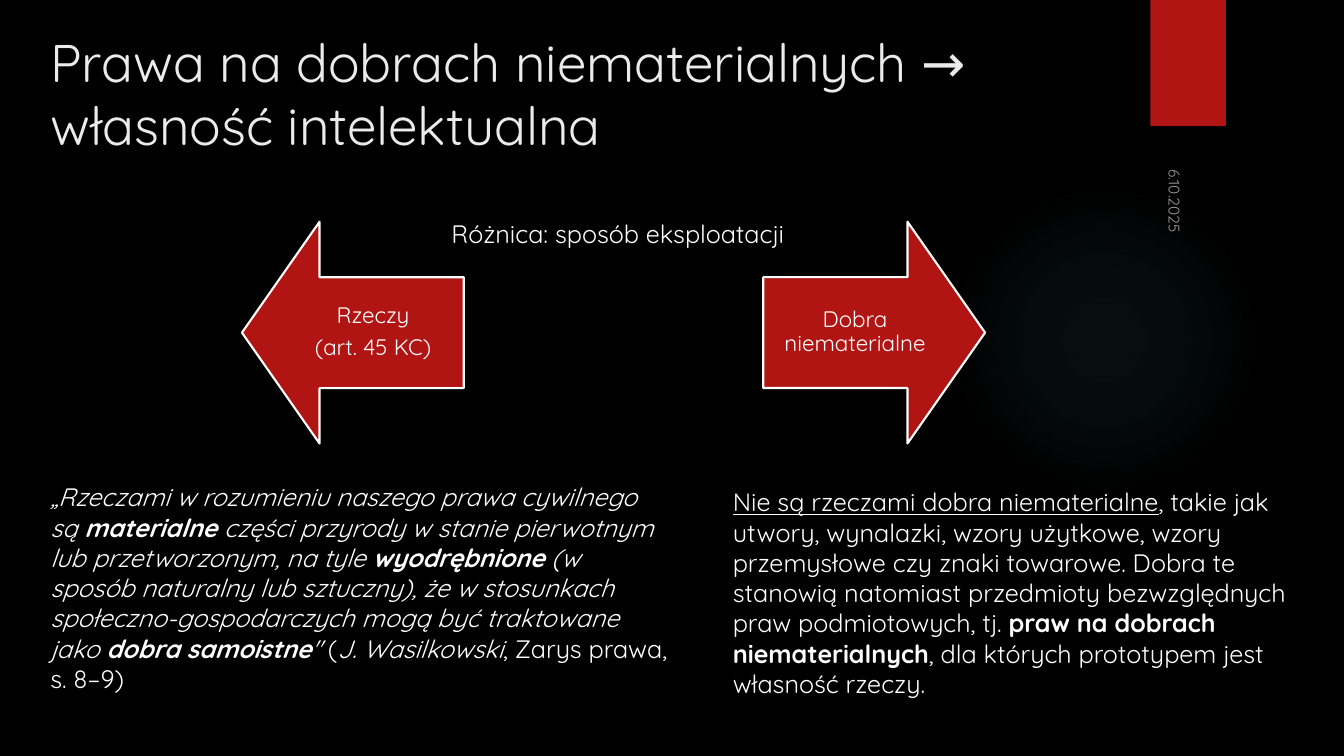
from dataclasses import dataclass

from lxml import etree
from pptx import Presentation
from pptx.dml.color import RGBColor
from pptx.enum.shapes import MSO_SHAPE
from pptx.enum.text import MSO_ANCHOR, MSO_AUTO_SIZE, PP_ALIGN
from pptx.oxml import parse_xml
from pptx.oxml.ns import nsdecls, qn
from pptx.util import Inches, Pt

UP_ARROW, OVAL, RECTANGLE = MSO_SHAPE.UP_ARROW, MSO_SHAPE.OVAL, MSO_SHAPE.RECTANGLE
TOP, MIDDLE, BOTTOM = MSO_ANCHOR.TOP, MSO_ANCHOR.MIDDLE, MSO_ANCHOR.BOTTOM
LEFT, CENTER = PP_ALIGN.LEFT, PP_ALIGN.CENTER
GROW, FIXED = MSO_AUTO_SIZE.SHAPE_TO_FIT_TEXT, MSO_AUTO_SIZE.NONE


@dataclass(frozen=True)
class Theme:
    font: str = "Quicksand"
    background: str = "000000"
    title: str = "EBEBEB"
    text: str = "FFFFFF"
    accent: str = "B01513"
    glow: str = "50B9C1"
    title_size: float = 37.8
    body_size: float = 18
    arrow_size: float = 16
    date_size: float = 11
    date_opacity: int = 60


THEME = Theme()

# Each run is (text, styles): b bold, i italic, u underlined
THINGS = [
    ("„Rzeczami w rozumieniu naszego prawa cywilnego są ", "i"),
    ("materialne", "bi"),
    (" części przyrody w stanie pierwotnym lub przetworzonym, na tyle ", "i"),
    ("wyodrębnione", "bi"),
    (" (w sposób naturalny lub sztuczny), że w stosunkach "
     "społeczno-gospodarczych mogą być traktowane jako ", "i"),
    ("dobra samoistne", "bi"),
    ("\" ", "i"),
    ("(", ""),
    ("J. Wasilkowski", "i"),
    (", Zarys prawa, s. 8–9)", ""),
]
INTANGIBLES = [
    ("Nie są rzeczami dobra niematerialne", "u"),
    (", takie jak utwory, wynalazki, wzory użytkowe, wzory przemysłowe czy znaki "
     "towarowe. Dobra te stanowią natomiast przedmioty bezwzględnych praw "
     "podmiotowych, tj. ", ""),
    ("praw na dobrach niematerialnych", "b"),
    (", dla których prototypem jest własność rzeczy.", ""),
]


def rgb(color):
    return RGBColor.from_string(color)


def add_run(paragraph, text, size, color, styles=""):
    run = paragraph.add_run()
    run.text = text
    font = run.font
    font.name, font.size = THEME.font, Pt(size)
    font.color.rgb = rgb(color)
    for mark, attribute in (("b", "bold"), ("i", "italic"), ("u", "underline")):
        if mark in styles:
            setattr(font, attribute, True)
    return run


def add_text(slide, box, paragraphs, size, anchor=TOP, align=LEFT, inset=None,
             line_spacing=None, space_after=None, auto_size=GROW):
    """Add a text box; each paragraph is a list of (text, styles) runs."""
    text_box = slide.shapes.add_textbox(*map(Inches, box))
    frame = text_box.text_frame
    frame.word_wrap = True
    frame.auto_size = auto_size
    frame.vertical_anchor = anchor
    if inset is not None:
        frame.margin_left = frame.margin_right = Inches(inset)
        frame.margin_top = frame.margin_bottom = Inches(inset)
    for index, runs in enumerate(paragraphs):
        paragraph = frame.add_paragraph() if index else frame.paragraphs[0]
        paragraph.alignment = align
        if line_spacing:
            paragraph.line_spacing = line_spacing
        if space_after:
            paragraph.space_after = Pt(space_after)
        for text, styles in runs:
            add_run(paragraph, text, size, THEME.text, styles)
    return text_box


def add_filled(slide, kind, box, color):
    shape = slide.shapes.add_shape(kind, *map(Inches, box))
    shape.shadow.inherit = False
    shape.fill.solid()
    shape.fill.fore_color.rgb = rgb(color)
    shape.line.fill.background()
    return shape


def add_glow(slide, box):
    """Add a circle that fades out from its centre."""
    glow = add_filled(slide, OVAL, box, THEME.glow)
    stops = "".join(
        f'<a:gs pos="{position * 1000}"><a:srgbClr val="{THEME.glow}">'
        f'<a:alpha val="{opacity * 1000}"/></a:srgbClr></a:gs>'
        for position, opacity in ((0, 7), (36, 6), (69, 0)))
    gradient = parse_xml(
        f'<a:gradFill {nsdecls("a")}><a:gsLst>{stops}</a:gsLst><a:path path="circle">'
        '<a:fillToRect l="50000" t="50000" r="50000" b="50000"/></a:path></a:gradFill>')
    properties = glow.element.spPr
    properties.replace(properties.find(qn("a:solidFill")), gradient)


def add_labelled_arrow(slide, arrow_left, label_left, rotation, lines):
    arrow = add_filled(slide, UP_ARROW, (arrow_left, 2.2, 2.2, 2.2), THEME.accent)
    arrow.rotation = rotation
    arrow.adjustments[0], arrow.adjustments[1] = 0.5, 0.35
    arrow.line.color.rgb = rgb(THEME.text)
    arrow.line.width = Pt(1.5)
    add_text(slide, (label_left, 2.75, 1.82, 1.1), [[(line, "")] for line in lines],
             THEME.arrow_size, MIDDLE, CENTER, inset=0.12, line_spacing=0.9,
             space_after=THEME.arrow_size * 0.35, auto_size=FIXED)


def add_date(slide, text):
    date = add_text(slide, (11.11, 1.96, 1.08, 0.33), [[(text, "")]],
                    THEME.date_size, MIDDLE, space_after=6, auto_size=FIXED)
    date.rotation = 90
    color = date.element.find(".//" + qn("a:srgbClr"))
    etree.SubElement(color, qn("a:alpha"), val=str(THEME.date_opacity * 1000))


def set_title(slide, text):
    title = slide.shapes.title
    title.left, title.top = Inches(0.4), Inches(0.22)
    title.width, title.height = Inches(10), Inches(1.38)
    frame = title.text_frame
    frame.word_wrap = True
    frame.auto_size = FIXED
    frame.vertical_anchor = BOTTOM
    paragraph = frame.paragraphs[0]
    paragraph.alignment = LEFT
    paragraph.line_spacing = 1.0
    add_run(paragraph, text, THEME.title_size, THEME.title)


def main():
    deck = Presentation()
    deck.slide_width, deck.slide_height = Inches(13.33), Inches(7.5)
    slide = deck.slides.add_slide(deck.slide_layouts[5])

    # Backdrop
    slide.background.fill.solid()
    slide.background.fill.fore_color.rgb = rgb(THEME.background)
    add_glow(slide, (9.41, 1.83, 3.08, 3.08))
    add_filled(slide, RECTANGLE, (11.41, 0, 0.75, 1.25), THEME.accent)

    # Heading and date
    set_title(slide, "Prawa na dobrach niematerialnych → własność intelektualna")
    add_date(slide, "6.10.2025")

    # Opposed arrows
    add_labelled_arrow(slide, 2.4, 2.79, 270, ["Rzeczy", "(art. 45 KC)"])
    add_labelled_arrow(slide, 7.57, 7.57, 90, ["Dobra niematerialne"])
    add_text(slide, (4.38, 2.12, 4.16, 0.4), [[("Różnica: sposób eksploatacji", "")]],
             THEME.body_size)

    # Explanations
    add_text(slide, (0.4, 4.73, 6.32, 1.92), [THINGS], THEME.body_size)
    add_text(slide, (7.17, 4.78, 5.77, 1.92), [INTANGIBLES], THEME.body_size)

    deck.save("out.pptx")


if __name__ == "__main__":
    main()
